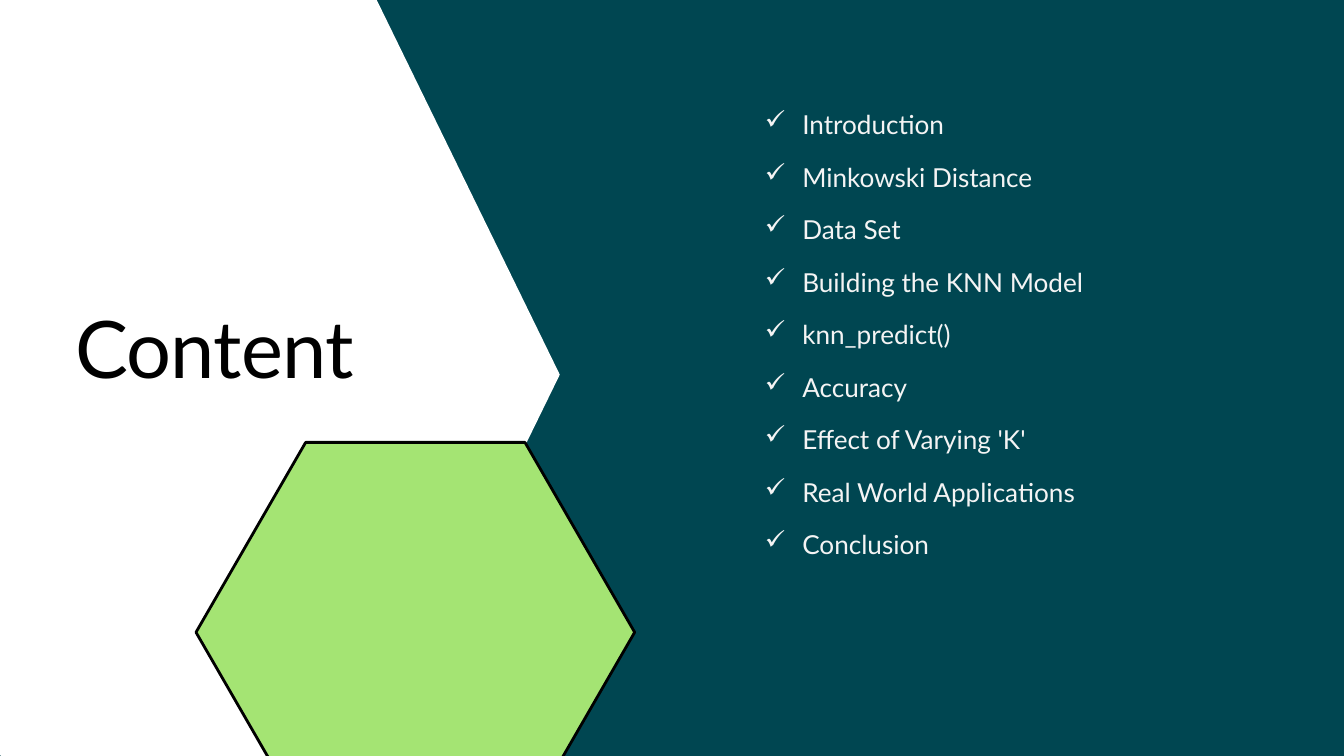
from dataclasses import dataclass

from lxml.etree import SubElement
from pptx import Presentation
from pptx.dml.color import RGBColor
from pptx.enum.text import MSO_ANCHOR as Anchor, MSO_AUTO_SIZE as Fit, PP_ALIGN as Align
from pptx.oxml.ns import qn
from pptx.util import Pt

FONT = "Lato"
TEAL, WHITE, GREEN, BLACK, PALE = "004651", "FFFFFF", "A4E473", "000000", "F4F4F4"
TOPICS = (
    "Introduction",
    "Minkowski Distance",
    "Data Set",
    "Building the KNN Model",
    "knn_predict()",
    "Accuracy",
    "Effect of Varying 'K'",
    "Real World Applications",
    "Conclusion",
)
LIST_LEFT, LIST_TOP, LIST_STEP = 795.6, 111, 56.25


@dataclass
class Box:
    left: float
    top: float
    width: float
    height: float


@dataclass
class Hexagon:
    box: Box
    fill: str
    edge: str | None = None


HEXAGONS = (
    Hexagon(Box(-198.7, -7.2, 798.5, 817.2), WHITE),
    Hexagon(Box(210, 474, 470, 407), GREEN, BLACK),
)


def paint(target, color: str) -> None:
    target.solid()
    target.fore_color.rgb = RGBColor.from_string(color)


def draw_hexagon(slide, hexagon: Hexagon) -> None:
    """Draw a hexagon whose corners cut a quarter of its width."""
    box = hexagon.box
    right, low = box.left + box.width, box.top + box.height
    middle, cut = box.top + box.height / 2, box.width / 4
    points = [
        (right - cut, low), (box.left + cut, low), (box.left, middle),
        (box.left + cut, box.top), (right - cut, box.top),
    ]
    outline = slide.shapes.build_freeform(Pt(right), Pt(middle))
    outline.add_line_segments([(Pt(x), Pt(y)) for x, y in points], close=True)
    shape = outline.convert_to_shape()
    shape.shadow.inherit = False
    paint(shape.fill, hexagon.fill)
    if hexagon.edge:
        paint(shape.line.fill, hexagon.edge)
        shape.line.width = Pt(3)
    else:
        shape.line.fill.background()


def write(shape, text: str, *, size: float, color: str, leading: float,
          tracking: float = 0, bullet: str = "") -> None:
    frame = shape.text_frame
    frame.margin_left = frame.margin_top = frame.margin_right = frame.margin_bottom = 0
    frame.word_wrap = True
    frame.auto_size = Fit.SHAPE_TO_FIT_TEXT
    frame.vertical_anchor = Anchor.TOP
    para = frame.paragraphs[0]
    para.alignment = Align.LEFT
    para.line_spacing = Pt(leading)
    if bullet:
        para.level = 1
        props = para._p.get_or_add_pPr()
        props.set("marL", str(Pt(64)))
        props.set("indent", str(Pt(-40)))
        SubElement(props, qn("a:buChar")).set("char", bullet)
    run = para.add_run()
    run.text = text
    run.font.name = FONT
    run.font.size = Pt(size)
    run.font.color.rgb = RGBColor.from_string(color)
    if tracking:
        run._r.get_or_add_rPr().set("spc", str(round(tracking * 100)))


def add_title(slide, text: str, box: Box) -> None:
    title = slide.shapes.title
    title.left, title.top = Pt(box.left), Pt(box.top)
    title.width, title.height = Pt(box.width), Pt(box.height)
    write(title, text, size=85, color=BLACK, leading=102, tracking=-0.8)
    slide.shapes._spTree.append(title._element)  # bring in front of the hexagons


def add_topic(slide, text: str, top: float) -> None:
    label = slide.shapes.add_textbox(Pt(LIST_LEFT), Pt(top), Pt(481), Pt(38.2))
    write(label, text, size=28, color=PALE, leading=39.2, bullet="✓")


def main() -> None:
    deck = Presentation()
    deck.slide_width, deck.slide_height = Pt(1440), Pt(810)
    slide = deck.slides.add_slide(deck.slide_layouts.get_by_name("Title Only"))
    paint(slide.background.fill, TEAL)
    for hexagon in HEXAGONS:
        draw_hexagon(slide, hexagon)
    add_title(slide, "Content", Box(80.6, 321, 351.4, 101.5))
    for row, topic in enumerate(TOPICS):
        add_topic(slide, topic, LIST_TOP + row * LIST_STEP)
    deck.save("out.pptx")


if __name__ == "__main__":
    main()
